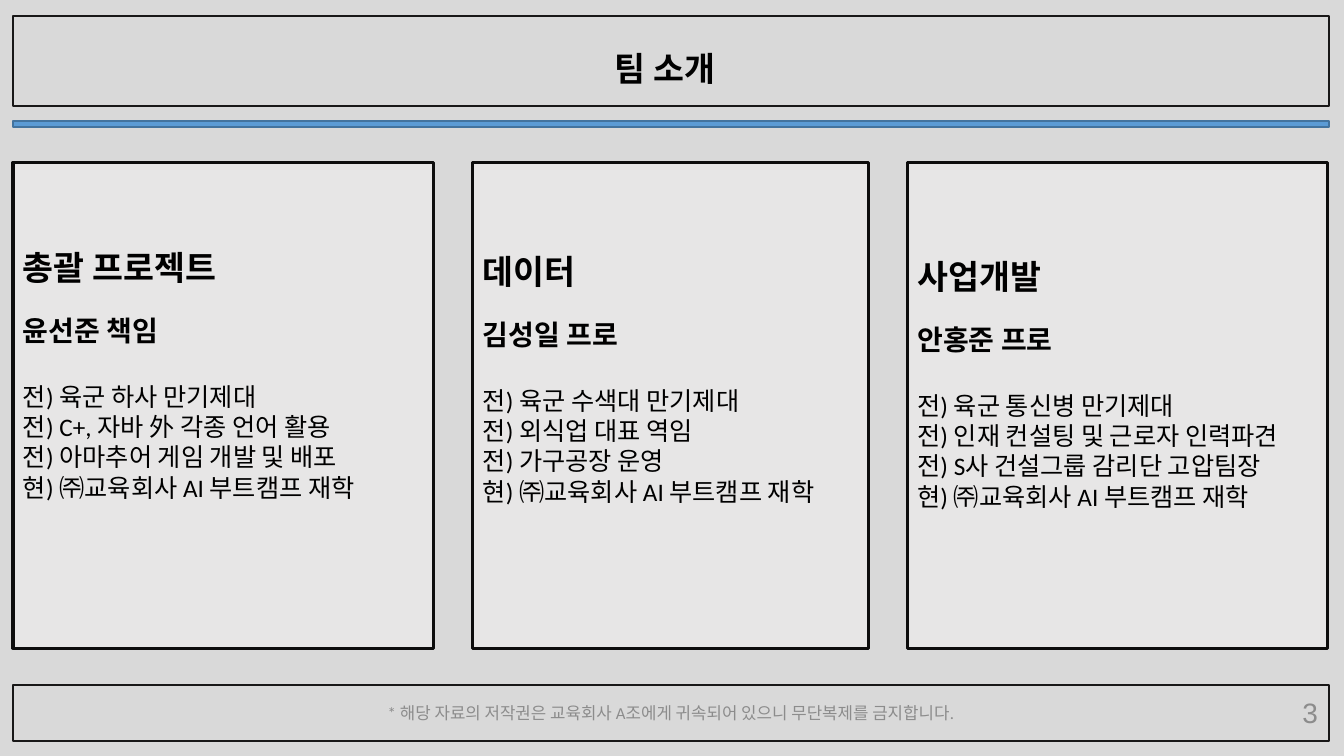
from pptx import Presentation
from pptx.dml.color import RGBColor
from pptx.enum.shapes import MSO_SHAPE as Shape
from pptx.enum.text import MSO_ANCHOR as Anchor, PP_ALIGN as Align
from pptx.util import Inches, Pt

LEFT, WIDTH, GAP = 0.13, 13.05, 0.39
NOW = "현) ㈜교육회사 AI 부트캠프 재학"
TEAM = [
    (4.17, 0.84, "총괄 프로젝트", "윤선준 책임",
     ["전) 육군 하사 만기제대", "전) C+, 자바 外 각종 언어 활용",
      "전) 아마추어 게임 개발 및 배포", NOW]),
    (3.92, 0.88, "데이터", "김성일 프로",
     ["전) 육군 수색대 만기제대", "전) 외식업 대표 역임",
      "전) 가구공장 운영", NOW]),
    (4.17, 0.93, "사업개발", "안홍준 프로",
     ["전) 육군 통신병 만기제대", "전) 인재 컨설팅 및 근로자 인력파견",
      "전) S사 건설그룹 감리단 고압팀장", NOW]),
]


def color(code):
    return RGBColor.from_string(code)


def add_box(slide, box, fill, line, width):
    rect = slide.shapes.add_shape(Shape.RECTANGLE, *map(Inches, box))
    rect.shadow.inherit = False
    if fill:
        rect.fill.solid()
        rect.fill.fore_color.rgb = color(fill)
    else:
        rect.fill.background()
    rect.line.color.rgb = color(line)
    rect.line.width = Pt(width)
    return rect


def style(para, size, bold=False, ink="000000", align=Align.LEFT, face="Calibri"):
    para.alignment = align
    for run in para.runs:
        font = run.font
        font.name, font.size, font.bold = face, Pt(size), bold
        font.color.rgb = color(ink)


def add_label(slide, box, text, *look):
    frame = slide.shapes.add_textbox(*map(Inches, box)).text_frame
    frame.word_wrap = True
    frame.vertical_anchor = Anchor.MIDDLE
    frame.text = text
    style(frame.paragraphs[0], *look)


def add_header(slide, x, y, w, h):
    frame = add_box(slide, (x, y, w, h), None, "181717", 1.5).text_frame
    frame.vertical_anchor = Anchor.MIDDLE
    frame.margin_top, frame.margin_right = Inches(0.19), Inches(0.22)
    frame.text = "팀 소개"
    style(frame.paragraphs[0], 24, True, "000000", Align.CENTER)
    add_box(slide, (x, y + h + 0.15, w, 0.06), "5B9BD5", "43739E", 1)


def add_card(slide, x, y, w, h, top, role, name, facts):
    frame = add_box(slide, (x, y, w, h), "E7E6E6", "0D0D0D", 2.25).text_frame
    frame.word_wrap = True
    frame.vertical_anchor = Anchor.TOP
    frame.margin_top = Inches(top)
    frame.text = "\n".join([role, name, *facts])
    head, who, *rest = frame.paragraphs
    style(head, 24, True)
    style(who, 20, True)
    who.space_before = Pt(19)
    for para in rest:
        style(para, 18)
    rest[0].space_before = Pt(24)


def add_team(slide, x, y, h):
    for w, *card in TEAM:
        add_card(slide, x, y, w, h, *card)
        x += w + GAP


def add_footer(slide, x, y, w, h):
    add_box(slide, (x, y, w, h), None, "181717", 1.5)
    add_label(slide, (x + w - 3.01, y + 0.07, 3, 0.4), "3",
              20, False, "8C8C8C", Align.RIGHT, "Arial")
    add_label(slide, (x + (w - 6.27) / 2, y + 0.03, 6.27, 0.48),
              "* 해당 자료의 저작권은 교육회사 A조에게 귀속되어 있으니 무단복제를 금지합니다.",
              12, False, "8C8C8C", Align.CENTER)


def main():
    deck = Presentation()
    deck.slide_width, deck.slide_height = Inches(13.33), Inches(7.5)
    slide = deck.slides.add_slide(deck.slide_layouts[6])
    back = slide.background.fill
    back.solid()
    back.fore_color.rgb = color("D9D9D9")
    add_header(slide, LEFT, 0.16, WIDTH, 0.89)
    add_team(slide, LEFT, 1.61, 4.82)
    add_footer(slide, LEFT, 6.8, WIDTH, 0.55)
    deck.save("out.pptx")


if __name__ == "__main__":
    main()
